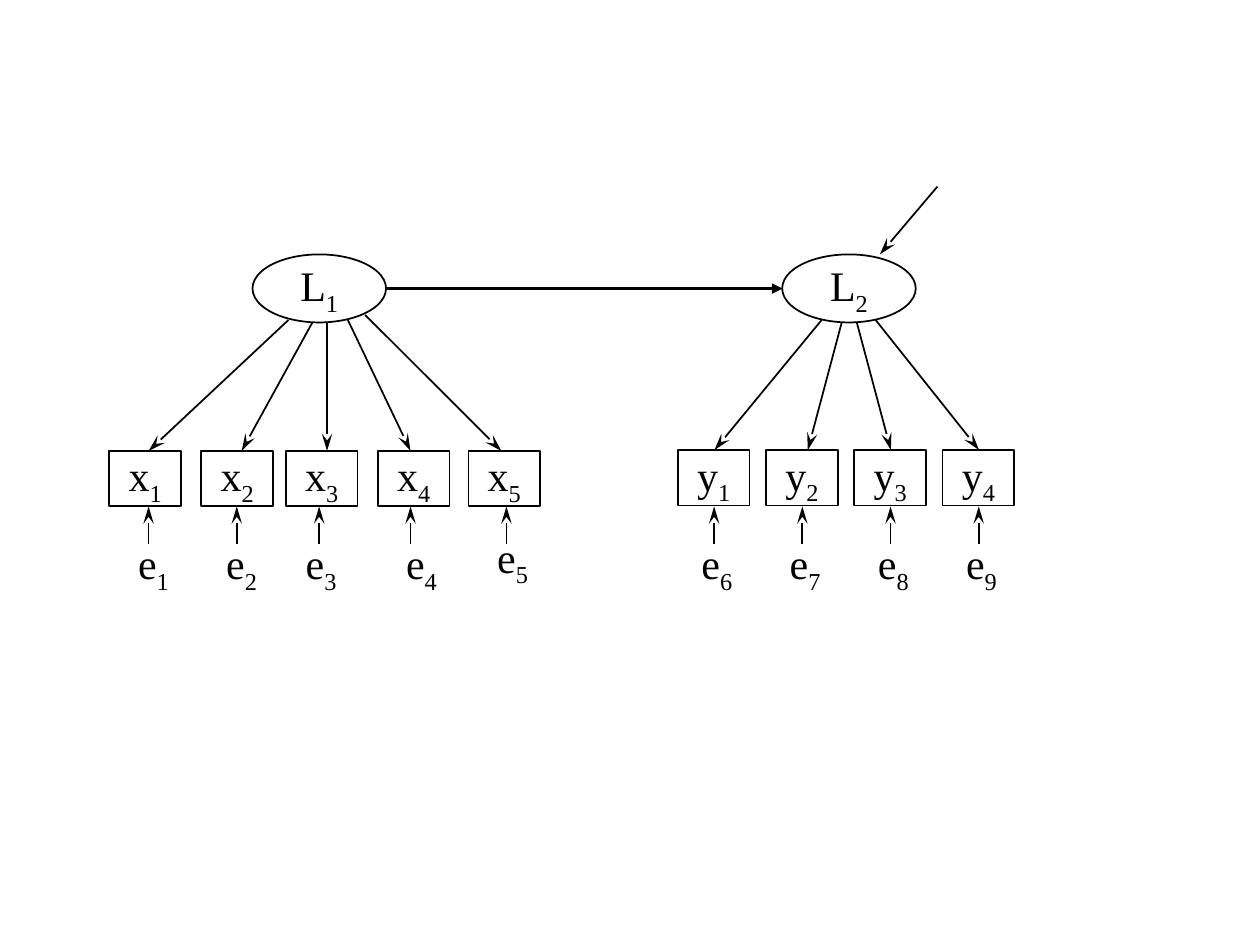
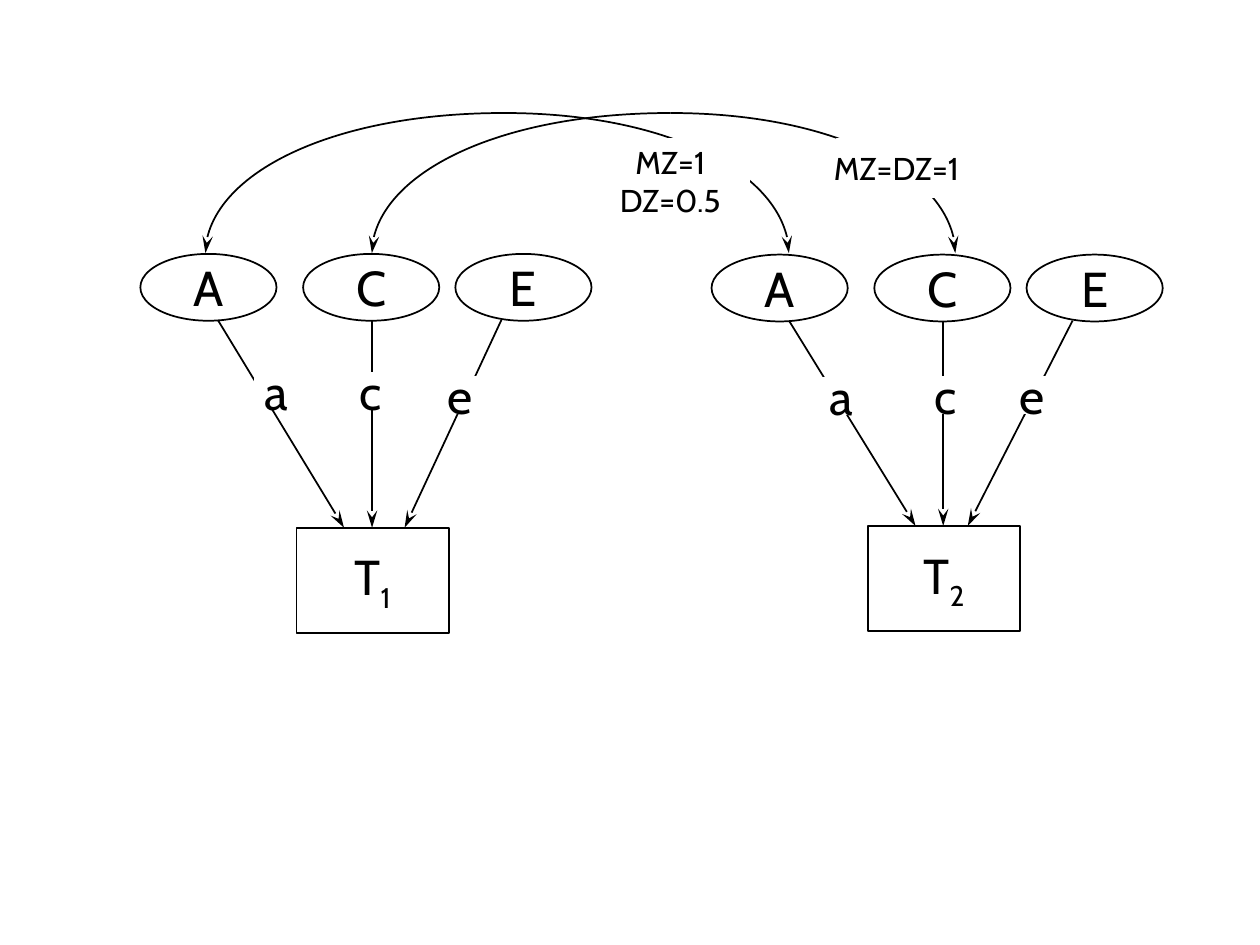
from dataclasses import dataclass

from lxml.etree import SubElement
from pptx import Presentation
from pptx.dml.color import RGBColor as Rgb
from pptx.enum.shapes import MSO_CONNECTOR as Link, MSO_SHAPE as Kind
from pptx.enum.text import MSO_ANCHOR as Anchor, PP_ALIGN as Align
from pptx.oxml.ns import qn
from pptx.util import Pt


@dataclass(frozen=True)
class Theme:
    ink: Rgb = Rgb(0, 0, 0)
    paper: Rgb = Rgb(255, 255, 255)
    serif: str = "Times New Roman"
    sans: str = "Cabin"
    small: int = 18
    mid: int = 24
    large: int = 28
    thin: float = 1
    thick: float = 1.5


THEME = Theme()


# Shared parts

def write(shape, text, font, size):
    """Centre the text; an underscore starts the subscript of a line."""
    frame = shape.text_frame
    frame.word_wrap = False
    frame.vertical_anchor = Anchor.MIDDLE
    for i, line in enumerate(text.split("\n")):
        para = frame.add_paragraph() if i else frame.paragraphs[0]
        para.alignment = Align.CENTER
        para.font.name, para.font.size = font, Pt(size)
        para.font.color.rgb = THEME.ink
        base, _, sub = line.partition("_")
        para.add_run().text = base
        if sub:
            run = para.add_run()
            run.text = sub
            run.font._element.set("baseline", "-25000")


def stroke(shape, color=THEME.ink, width=THEME.thin):
    shape.line.color.rgb = color
    shape.line.width = Pt(width)


def tip(shape, end, kind="stealth"):
    edge = shape._element.spPr.find(qn("a:ln"))
    size = "lg" if kind == "stealth" else "med"
    SubElement(edge, qn(f"a:{end}End"), type=kind, w="med", len=size)


def node(slide, kind, box, text, font, size):
    shape = slide.shapes.add_shape(kind, *map(Pt, box))
    shape.shadow.inherit = False
    shape.fill.background()
    stroke(shape)
    write(shape, text, font, size)
    return shape


def patch(slide, box, text, size):
    """White label that covers the line behind it."""
    shape = node(slide, Kind.RECTANGLE, box, text, THEME.sans, size)
    shape.fill.solid()
    shape.fill.fore_color.rgb = THEME.paper
    stroke(shape, THEME.paper)


def arrow(slide, start, stop, width=THEME.thin, kind="stealth"):
    line = slide.shapes.add_connector(Link.STRAIGHT, *map(Pt, start + stop))
    stroke(line, width=width)
    tip(line, "tail", kind)
    SubElement(line._element.spPr, qn("a:effectLst"))


# Latent factor with its indicators and error terms

def factor(slide, box, oval, name, item, first, row, parts):
    left, top = box
    font, size = THEME.serif, THEME.mid
    node(slide, Kind.OVAL, (left + oval, top, 76.3, 38.9), name, font, size)
    for i, (x, start, drop, end, error, note, lift) in enumerate(parts):
        cell = (left + x, top + row, 41, 31.7)
        node(slide, Kind.RECTANGLE, cell, f"{item}_{i + 1}", font, size)
        arrow(slide, (left + start, top + drop), (left + end, top + row))
        arrow(slide, (left + error, top + 165.6), (left + error, top + 144))
        term = slide.shapes.add_textbox(
            Pt(left + note), Pt(top + 169.2 - lift), Pt(50.4), Pt(18))
        write(term, f"e_{first + i}", font, size)


def model(slide):
    # Each row: box x, arrow start x and y, arrow end x, error x, note x, lift
    xs = [
        (0, 102.3, 37.5, 22.4, 22.4, 0, 0),
        (52.6, 116, 38.9, 75.6, 72.8, 50.4, 0),
        (100.8, 124.4, 38.9, 124.4, 119.9, 95.8, 0),
        (153.4, 136.3, 37.5, 172.1, 172.1, 153.2, 0),
        (205.2, 146.2, 34.6, 224, 226.9, 205.2, 3.6),
    ]
    rays = [(82.1, 37.5, 20.9), (93.6, 38.9, 74.2),
            (102.2, 38.9, 121.7), (113, 37.5, 172.1)]
    step = 50.4
    ys = [(step * i, *ray, 20.7 + step * i, step * i - 2.9, 0)
          for i, ray in enumerate(rays)]
    factor(slide, (62.5, 145.4), 81.8, "L_1", "x", 1, 112.3, xs)
    factor(slide, (387.4, 145.4), 59.6, "L_2", "y", 6, 111.8, ys)
    # Path between the factors, and the disturbance of the second
    arrow(slide, (221, 164.9), (447.1, 164.9), THEME.thick, "triangle")
    arrow(slide, (535.7, 106.6), (502.8, 145.4))


# Twin with three sources and one trait

def twin(slide, box, trait, fall, ends, tags):
    left, top = box
    starts = (44.3, 132.4, 206.3)
    for name, x, start, end in zip("ACE", (0, 93, 180), starts, ends):
        oval = (left + x, top, 77.8, 38.2)
        node(slide, Kind.OVAL, oval, name, THEME.sans, THEME.large)
        arrow(slide, (left + start, top + 37.8), (left + end, top + fall))
    for name, (x, y) in zip("ace", tags):
        patch(slide, (left + x, top + y, 24.5, 20.9), name, THEME.large)
    node(slide, Kind.RECTANGLE, (left + 89.2, top + fall, 87.1, 60),
         trait, THEME.sans, THEME.large)


def arch(slide, left, top):
    """Two quarter ellipses that meet at the crown, one curve each."""
    far, near, high, bend = 170.6, 162.8, 80.1, 0.55
    for span, end in ((-far, "tail"), (near, "tail")):
        crown = left + far
        foot = crown + span
        pen = slide.shapes.build_freeform(Pt(crown), Pt(top))
        pen.add_line_segments([
            (Pt(crown + bend * span), Pt(top)),
            (Pt(foot), Pt(top + high * (1 - bend))),
            (Pt(foot), Pt(top + high)),
        ], close=False)
        curve = pen.convert_to_shape()
        # Turn the three segments into one cubic curve
        steps = list(curve._element.iter(qn("a:lnTo")))
        cubic = SubElement(steps[0].getparent(), qn("a:cubicBezTo"))
        for part in steps:
            cubic.append(part[0])
            part.getparent().remove(part)
        curve.shadow.inherit = False
        curve.fill.background()
        stroke(curve)
        tip(curve, end)


def twins(slide):
    # Correlations between the twins
    arch(slide, 117.4, 64.6)
    arch(slide, 212.5, 64.6)
    patch(slide, (337.7, 79.2, 90.7, 48.8), "MZ=1\nDZ=0.5", THEME.small)
    patch(slide, (478.1, 79.2, 68.4, 33.8), "MZ=DZ=1", THEME.small)
    # First and second twin
    twin(slide, (80.2, 145.1), "T_1", 156.5, (116.4, 132.4, 151),
         [(65.3, 68), (119.3, 68), (170.5, 70.1)])
    twin(slide, (406.6, 145.5), "T_2", 155.1, (116.6, 132.4, 146.4),
         [(62.1, 70.4), (121.3, 69.8), (170.8, 69.8)])


def main():
    deck = Presentation()
    deck.slide_width, deck.slide_height = Pt(720), Pt(540)
    for draw in (model, twins):
        draw(deck.slides.add_slide(deck.slide_layouts[6]))
    deck.save("out.pptx")


if __name__ == "__main__":
    main()
